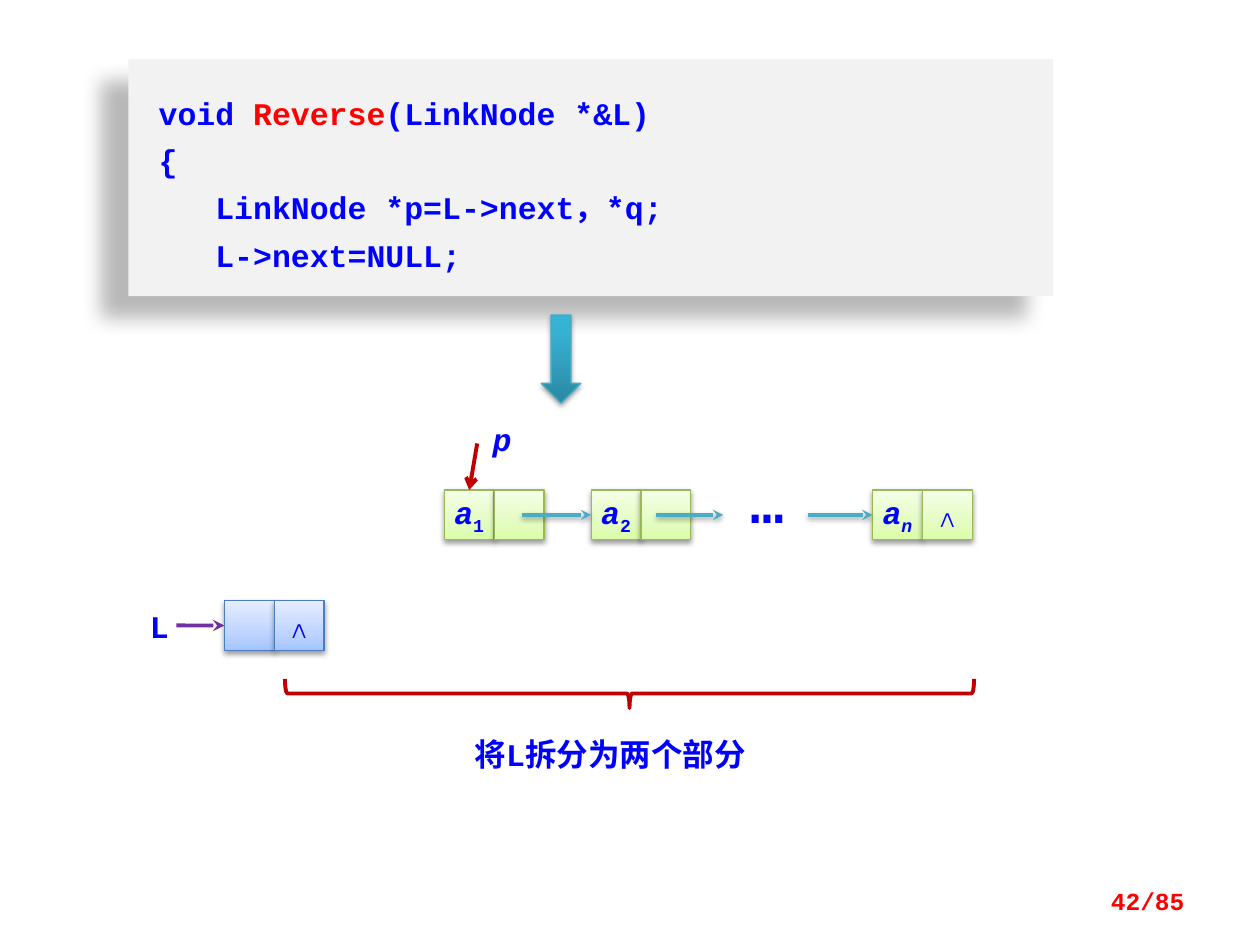
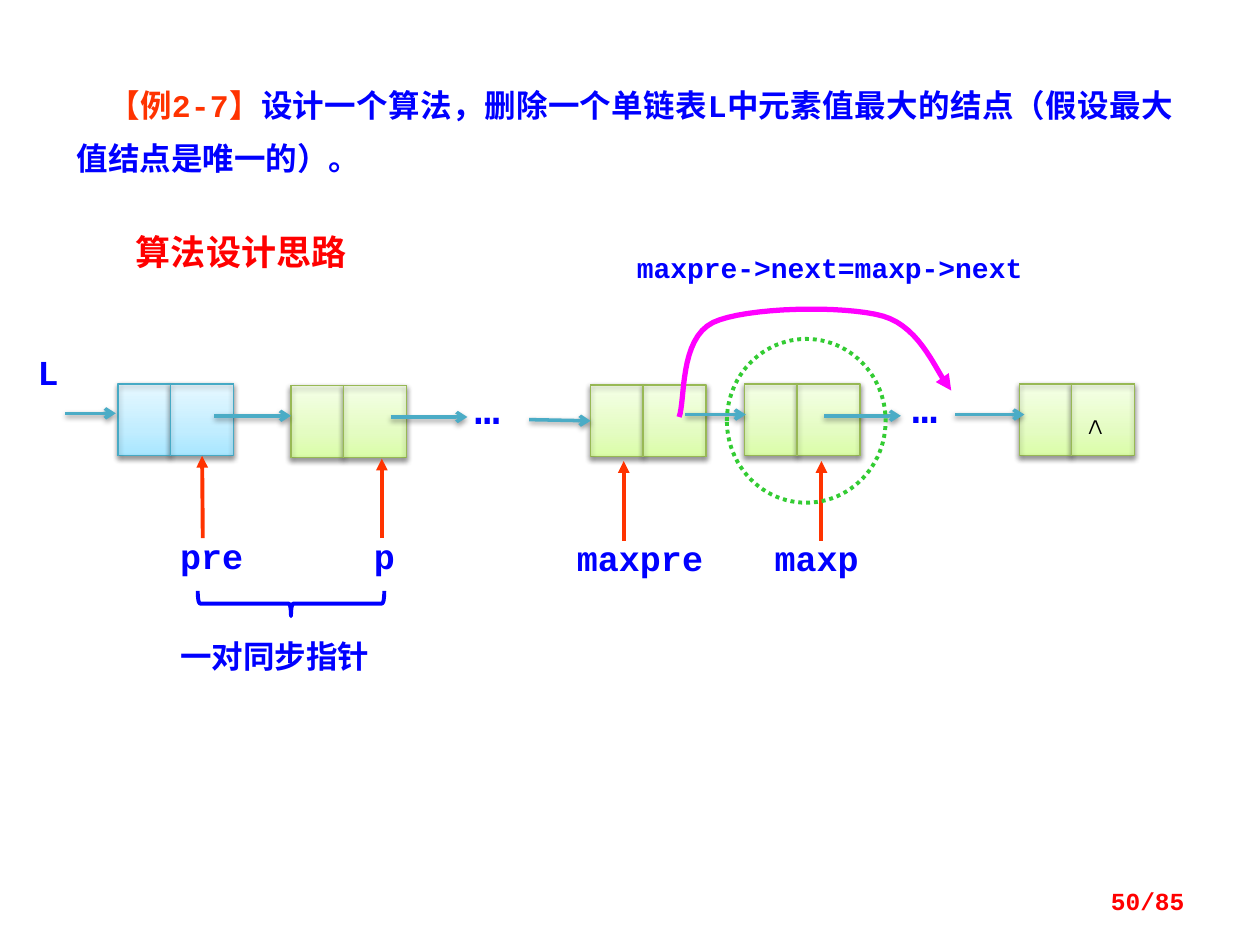
from dataclasses import dataclass

from lxml import etree
from pptx import Presentation
from pptx.dml.color import RGBColor
from pptx.enum import dml, shapes, text
from pptx.oxml.ns import qn
from pptx.util import Pt

COLOURS = {
    "blue": "0000FF", "red": "FF0000", "orange": "FF3300", "black": "000000",
    "panel": "F2F2F2", "teal": "4BACC6", "purple": "7030A0", "crimson": "C00000",
    "green": "33CC33", "magenta": "FF00FF",
}
CODE_FONT = "Courier New"
CHINESE_FONT = "Noto Sans CJK SC"
LEFT_SIDE, BOTTOM_SIDE, TOP_SIDE = 1, 2, 0


@dataclass(frozen=True)
class Palette:
    stops: tuple
    outline: str


@dataclass(frozen=True)
class Shadow:
    alpha: int
    blur: float
    distance: float
    direction: int


@dataclass(frozen=True)
class Node:
    left: float
    top: float
    palette: Palette
    value: tuple = ()
    mark: str = ""


@dataclass(frozen=True)
class Label:
    words: str
    left: float
    top: float
    width: float
    height: float
    size: float = 18
    colour: str = "blue"
    font: str = CODE_FONT
    align: str = "LEFT"
    italic: bool = False
    inset: tuple = (7.2, 3.6, 7.2, 3.6)


@dataclass(frozen=True)
class Arrow:
    start: tuple
    end: tuple
    colour: str = "teal"
    width: float = 2
    head: str = "arrow"
    shaded: bool = True


GREEN = Palette(((0, "DAFDA7"), (35, "E4FCC2"), (100, "F5FFE7")), "98B955")
BLUE = Palette(((0, "A4C4FF"), (35, "BFD4FF"), (100, "E6EEFF")), "4B7EBC")
CYAN = Palette(((0, "A7E6FF"), (35, "C1EDFF"), (100, "E7F8FF")), "46AAC5")
DEEP_TEAL = Palette(((0, "2A88A2"), (80, "37B1D2"), (100, "34B4D6")), "46AAC5")
SOFT = Shadow(38, 3.1, 1.6, 90)
PANEL_SHADOW = Shadow(28, 11.8, 19.7, 141)


def rgb(name: str) -> RGBColor:
    return RGBColor.from_string(COLOURS.get(name, name))


def add_element(parent, tag: str, **attributes):
    return etree.SubElement(parent, qn(tag), {key: str(value) for key, value in attributes.items()})


def add_colour(parent, hex_colour: str):
    return add_element(parent, "a:srgbClr", val=hex_colour)


def set_shadow(shape, shadow: Shadow | None = None) -> None:
    effects = add_element(shape._element.spPr, "a:effectLst")
    if shadow:
        outer = add_element(effects, "a:outerShdw", blurRad=Pt(shadow.blur), dist=Pt(shadow.distance),
                            dir=shadow.direction * 60000, algn="ctr", rotWithShape=0)
        add_element(add_colour(outer, COLOURS["black"]), "a:alpha", val=shadow.alpha * 1000)


def set_gradient(shape, palette: Palette) -> None:
    shape.fill.background()
    properties = shape._element.spPr
    gradient = etree.Element(qn("a:gradFill"))
    stops = add_element(gradient, "a:gsLst")
    for position, colour in palette.stops:
        add_colour(add_element(stops, "a:gs", pos=position * 1000), colour)
    add_element(gradient, "a:lin", ang=270 * 60000, scaled=0)
    properties.replace(properties.find(qn("a:noFill")), gradient)


def set_line(shape, colour: str, width: float, head: str = "") -> None:
    shape.line.color.rgb = rgb(colour)
    shape.line.width = Pt(width)
    if head:
        add_element(shape.line._get_or_add_ln(), "a:tailEnd", type=head)


def write_text(frame, paragraphs, *, size=18, colour="blue", font=CODE_FONT, align="LEFT", bold=True,
               italic=False, inset=(7.2, 3.6, 7.2, 3.6), spacing=None, indent=0, wrap=True,
               anchor="TOP") -> None:
    frame.word_wrap = wrap
    frame.vertical_anchor = text.MSO_ANCHOR[anchor]
    frame.margin_left, frame.margin_top, frame.margin_right, frame.margin_bottom = map(Pt, inset)
    for index, runs in enumerate(paragraphs):
        paragraph = frame.add_paragraph() if index else frame.paragraphs[0]
        paragraph.alignment = text.PP_ALIGN[align]
        if spacing:
            paragraph.line_spacing = Pt(spacing)
        if indent:
            paragraph._p.get_or_add_pPr().set("indent", str(Pt(indent)))
        for words, changes in runs:
            run = paragraph.add_run()
            run.text = words
            run.font.name, run.font.size, run.font.bold = font, Pt(size), bold
            run.font.italic = changes.get("italic", italic)
            run.font.color.rgb = rgb(changes.get("colour", colour))
            properties = run._r.get_or_add_rPr()
            if "baseline" in changes:
                properties.set("baseline", str(changes["baseline"] * 1000))
            if ord(max(words)) >= 0x3000:
                add_element(properties, "a:ea", typeface=CHINESE_FONT)


def add_box(slide, kind: str, left: float, top: float, width: float, height: float):
    return slide.shapes.add_shape(shapes.MSO_SHAPE[kind], Pt(left), Pt(top), Pt(width), Pt(height))


def add_text(slide, left: float, top: float, width: float, height: float, paragraphs, **formatting) -> None:
    box = slide.shapes.add_textbox(Pt(left), Pt(top), Pt(width), Pt(height))
    write_text(box.text_frame, paragraphs, **formatting)


def add_label(slide, label: Label) -> None:
    add_text(slide, label.left, label.top, label.width, label.height, [[(label.words, {})]],
             size=label.size, colour=label.colour, font=label.font, align=label.align,
             italic=label.italic, inset=label.inset)


def add_connector(slide, start: tuple, end: tuple):
    return slide.shapes.add_connector(shapes.MSO_CONNECTOR.STRAIGHT, *map(Pt, (*start, *end)))


def add_arrow(slide, arrow: Arrow, target=None, side: int = LEFT_SIDE) -> None:
    connector = add_connector(slide, arrow.start, arrow.end)
    if target is not None:
        connector.end_connect(target, side)
    set_line(connector, arrow.colour, arrow.width, arrow.head)
    set_shadow(connector, SOFT if arrow.shaded else None)


def add_gradient_box(slide, kind: str, bounds: tuple, palette: Palette):
    box = add_box(slide, kind, *bounds)
    set_gradient(box, palette)
    set_line(box, palette.outline, 0.75)
    set_shadow(box, SOFT)
    return box


def add_node(slide, node: Node, widths: tuple, height: float) -> list:
    cells, left = [], node.left
    mark = ((node.mark, {}),) if node.mark else ()
    for width, runs in zip(widths, (node.value, mark)):
        cell = add_gradient_box(slide, "RECTANGLE", (left, node.top, width, height), node.palette)
        if runs:
            write_text(cell.text_frame, [runs], align="CENTER", anchor="MIDDLE", wrap=False)
        cells.append(cell)
        left += width
    return cells


def add_grid(slide, node: Node, widths: tuple, height: float) -> None:
    right, bottom = node.left + sum(widths), node.top + height
    rows = [((node.left, y), (right, y)) for y in (node.top, bottom)]
    columns = [((x, node.top), (x, bottom)) for x in (node.left, node.left + widths[0], right)]
    for start, end in rows + columns:
        rule = add_connector(slide, start, end)
        set_line(rule, node.palette.outline, 0.75)
        set_shadow(rule, SOFT)


def add_brace(slide, kind: str, bounds: tuple, rotation: int, colour: str) -> None:
    brace = add_box(slide, kind, *bounds)
    brace.rotation = rotation
    brace.fill.background()
    set_line(brace, colour, 2.25)
    set_shadow(brace)


def add_page_number(slide, number: int) -> None:
    add_text(slide, 516.2, 500.4, 167.8, 28.8, [[(f"{number}/85", {})]], size=14, colour="red",
             align="RIGHT", anchor="MIDDLE")


def curve_points(start: tuple, segments: tuple, steps: int = 16) -> list:
    points = [start]
    for first, second, end in segments:
        for step in range(1, steps + 1):
            t = step / steps
            weights = ((1 - t) ** 3, 3 * t * (1 - t) ** 2, 3 * t * t * (1 - t), t ** 3)
            corners = (start, first, second, end)
            points.append(tuple(sum(w * c[axis] for w, c in zip(weights, corners)) for axis in (0, 1)))
        start = end
    return points


def add_curved_arrow(slide, points: list) -> None:
    builder = slide.shapes.build_freeform(*map(Pt, points[0]))
    builder.add_line_segments([tuple(map(Pt, point)) for point in points[1:]], close=False)
    curve = builder.convert_to_shape()
    curve.fill.background()
    set_line(curve, "magenta", 3, "triangle")
    set_shadow(curve)


def build_reverse_slide(slide) -> None:
    panel = add_box(slide, "RECTANGLE", 73.4, 33.8, 528.5, 135.4)
    panel.fill.solid()
    panel.fill.fore_color.rgb = rgb("panel")
    panel.line.fill.background()
    set_shadow(panel, PANEL_SHADOW)
    code = [
        [("void ", {}), ("Reverse", {"colour": "red"}), ("(LinkNode *&L)", {})],
        [("{", {})],
        [("   LinkNode *p=L->next，*q;", {})],
        [("   L->next=NULL;", {})],
    ]
    write_text(panel.text_frame, code, spacing=27, inset=(17.3, 14.4, 7.2, 14.4))

    add_gradient_box(slide, "DOWN_ARROW", (309.3, 180, 22.6, 50.4), DEEP_TEAL)

    cell, row = 28.5, 280
    middle = row + cell / 2
    head = add_node(slide, Node(128.2, 343.2, BLUE, mark="∧"), (cell, cell), cell)
    elements = []
    for left, subscript, mark in ((253.9, "1", ""), (337.8, "2", ""), (498.6, "n", "∧")):
        value = (("a", {"italic": True}), (subscript, {"italic": subscript == "n", "baseline": -25}))
        elements.append(add_node(slide, Node(left, row, GREEN, value, mark), (cell, cell), cell))
    first, second, last = (cells[0] for cells in elements)

    add_arrow(slide, Arrow((100.8, 357.4), (128.2, 357.4), "purple", 2.25, "stealth", False), head[0])
    add_arrow(slide, Arrow((272.7, 253.4), (268.1, row), "crimson", 2.25, "arrow", False), first, TOP_SIDE)
    for start, end, target in ((298.1, 337.8, second), (375.1, 413.3, None), (461.5, 498.6, last)):
        add_arrow(slide, Arrow((start, middle), (end, middle), head="stealth"), target)

    add_brace(slide, "RIGHT_BRACE", (351.4, 199.4, 16.6, 393.8), 90, "crimson")
    for label in (
        Label("L", 78.5, 343.4, 20.9, 28.8),
        Label("…", 421.9, 263.5, 56.9, 45.4, size=32),
        Label("p", 267.1, 236.2, 39.6, 28.8, align="CENTER", italic=True),
        Label("将L拆分为两个部分", 264.2, 416.2, 208.1, 28.8),
    ):
        add_label(slide, label)
    add_page_number(slide, 42)


def build_delete_slide(slide) -> None:
    task = [("【例2-7】", {"colour": "orange"}),
            ("设计一个算法，删除一个单链表L中元素值最大的结点（假设最大值结点是唯一的）。", {})]
    add_text(slide, 36.7, 37.4, 640.8, 64.8, [task], align="JUSTIFY", spacing=30, indent=18)

    widths, height = (30, 36), 41
    nodes = [Node(67.5, 219.5, CYAN)]
    nodes += [Node(left, top, GREEN) for left, top in
              ((166.3, 220.5), (337.5, 220), (425.5, 219.5), (582.5, 219.5))]
    cells = []
    for node in nodes:
        cells.append(add_node(slide, node, widths, height))
        add_grid(slide, node, widths, height)
    pre_cells, maxpre_cells = cells[0], cells[2]

    for start, end, y, target in (
        (37.4, 66.2, 236.2, None), (122.4, 166.3, 237.6, None), (223.2, 267.1, 238.3, None),
        (302.4, 337.5, 239.8, maxpre_cells[0]), (391.7, 426.2, 236.9, None),
        (470.9, 514.8, 237.6, None), (545.8, 585.4, 236.9, None),
    ):
        add_arrow(slide, Arrow((start, y), (end, y)), target)

    for x, top, target in ((115.9, 262.1, pre_cells[1]), (218.2, 262.1, None),
                           (356.4, 263.5, None), (469.4, 263.5, None)):
        add_arrow(slide, Arrow((x, top + 45.4), (x, top), "orange", 2.25, "triangle", False),
                  target, BOTTOM_SIDE)

    ring = add_box(slide, "OVAL", 415.4, 193.7, 90.7, 93.6)
    ring.fill.background()
    set_line(ring, "green", 2.25)
    ring.line.dash_style = dml.MSO_LINE.ROUND_DOT
    set_shadow(ring)

    add_curved_arrow(slide, curve_points((388.1, 238.3), (
        ((391.7, 229), (388.1, 193.7), (407.5, 184.3)),
        ((425.5, 175.7), (481.7, 174.2), (504.7, 180.7)),
        ((527, 187.2), (535.7, 214.6), (543.6, 223.2)),
    )))
    add_brace(slide, "LEFT_BRACE", (159.1, 291.6, 14.4, 106.6), 270, "blue")

    for label in (
        Label("L", 14.4, 196.6, 33.8, 31.7, size=20),
        Label("∧", 613.4, 226.8, 28.1, 28.8, colour="black"),
        Label("…", 264.2, 215.3, 56.9, 36, size=24),
        Label("…", 514.1, 214.6, 56.9, 36, size=24),
        Label("pre", 95.8, 301.7, 51.1, 31, size=20),
        Label("p", 206.6, 301.7, 28.8, 31, size=20),
        Label("maxpre", 322.6, 303.1, 90.7, 31, size=20),
        Label("maxp", 435.6, 303.1, 68.4, 31, size=20),
        Label("算法设计思路", 70.6, 128.2, 221, 31.7, size=20, colour="red", font=CHINESE_FONT),
        Label("maxpre->next=maxp->next", 341.3, 143.3, 265.7, 19.4, size=16, align="CENTER",
              inset=(0, 0, 0, 0)),
        Label("一对同步指针", 95.8, 360.7, 140.4, 28.8, font=CHINESE_FONT),
    ):
        add_label(slide, label)
    add_page_number(slide, 50)


def main() -> None:
    presentation = Presentation()
    presentation.slide_width, presentation.slide_height = Pt(720), Pt(540)
    for build in (build_reverse_slide, build_delete_slide):
        build(presentation.slides.add_slide(presentation.slide_layouts[6]))
    presentation.save("out.pptx")


if __name__ == "__main__":
    main()
